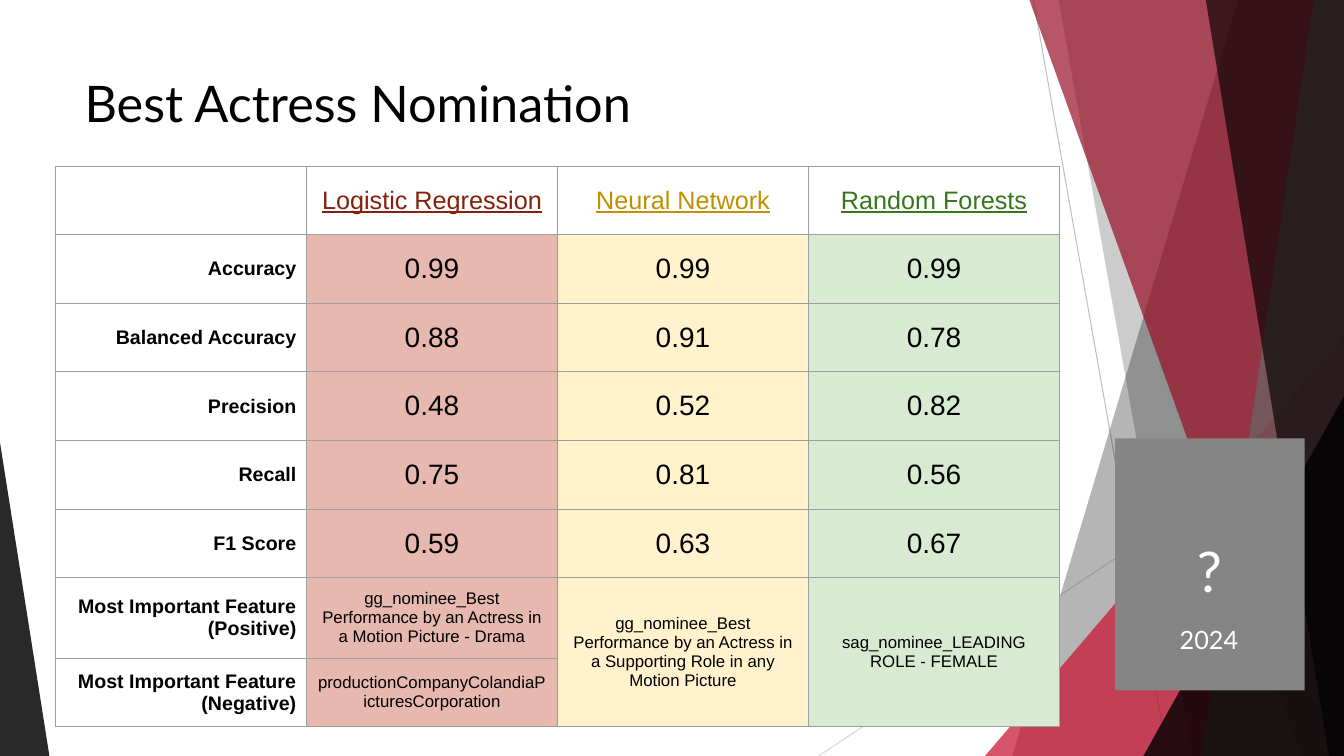
from lxml.etree import SubElement
from pptx import Presentation
from pptx.dml.color import RGBColor
from pptx.enum.shapes import MSO_CONNECTOR, MSO_SHAPE
from pptx.enum.text import MSO_ANCHOR, PP_ALIGN
from pptx.oxml.ns import qn
from pptx.util import Inches, Pt

WIDTH, HEIGHT = 13.33, 7.5
RAYS = [
    ((10.25, 0, 11.58, HEIGHT), "BFBFBF"),
    ((WIDTH, 4.03, 8.12, HEIGHT), "D8D8D8"),
]
BANDS_BEHIND = [(12.28, 10.04, "000000", 29), (10.5, 11.83, "000000", 20)]
BANDS_FRONT = [
    (10.21, 12.91, "960B22", 69),
    (13.03, 11.92, "666666", 69),
    (11.96, 13.18, "000000", 64),
]
MODELS = [
    ("Logistic Regression", "85200C", "E6B8AF"),
    ("Neural Network", "BF9000", "FFF2CC"),
    ("Random Forests", "38761D", "D9EAD3"),
]
SCORES = [
    ("Accuracy", "0.99", "0.99", "0.99"),
    ("Balanced Accuracy", "0.88", "0.91", "0.78"),
    ("Precision", "0.48", "0.52", "0.82"),
    ("Recall", "0.75", "0.81", "0.56"),
    ("F1 Score", "0.59", "0.63", "0.67"),
]
FEATURES = [
    ("Most Important Feature (Positive)",
     "gg_nominee_Best Performance by an Actress in a Motion Picture - Drama",
     "gg_nominee_Best Performance by an Actress in a Supporting Role in any Motion Picture",
     "sag_nominee_LEADING ROLE - FEMALE"),
    ("Most Important Feature\n(Negative)",
     "productionCompanyColandiaPicturesCorporation"),
]


def color(value):
    return RGBColor.from_string(value)


def paint(shape, fill, opacity=100):
    shape.shadow.inherit = False
    shape.line.fill.background()
    shape.fill.solid()
    shape.fill.fore_color.rgb = color(fill)
    if opacity < 100:
        choice = shape.fill._xPr.find(qn("a:solidFill"))[0]
        SubElement(choice, qn("a:alpha"), val=str(opacity * 1000))


def write(frame, text, alignment, font_name, font_color, **formats):
    frame.word_wrap = True
    frame.text = text
    for paragraph in frame.paragraphs:
        paragraph.alignment = alignment
        paragraph.font.color.rgb = color(font_color)
        for name, value in {"name": font_name, **formats}.items():
            setattr(paragraph.font, name, value)


def add_text(slide, box, text, size, font_color, alignment, inset):
    frame = slide.shapes.add_textbox(*map(Inches, box)).text_frame
    frame.margin_top = frame.margin_bottom = Inches(inset)
    frame.vertical_anchor = MSO_ANCHOR.TOP
    write(frame, text, alignment, "Lato", font_color, size=Pt(size))


def add_ray(slide, ends, line_color):
    ray = slide.shapes.add_connector(MSO_CONNECTOR.STRAIGHT, *map(Inches, ends))
    ray.line.color.rgb = color(line_color)
    ray.line.width = Pt(0.75)
    SubElement(ray._element.spPr, qn("a:effectLst"))


def add_band(slide, top_x, bottom_x, fill, opacity):
    builder = slide.shapes.build_freeform(Inches(top_x), 0)
    corners = [(WIDTH, 0), (WIDTH, HEIGHT), (bottom_x, HEIGHT)]
    builder.add_line_segments([(Inches(x), Inches(y)) for x, y in corners])
    paint(builder.convert_to_shape(), fill, opacity)


def add_corner(slide, left, width, height, apex, fill, opacity):
    box = map(Inches, (left, HEIGHT - height, width, height))
    corner = slide.shapes.add_shape(MSO_SHAPE.ISOSCELES_TRIANGLE, *box)
    corner.adjustments[0] = apex
    paint(corner, fill, opacity)


def add_backdrop(slide):
    for ends, line_color in RAYS:
        add_ray(slide, ends, line_color)
    for band in BANDS_BEHIND:
        add_band(slide, *band)
    add_corner(slide, 9.77, 3.56, 4.17, 1, "C8102E", 71)
    for band in BANDS_FRONT:
        add_band(slide, *band)
    add_corner(slide, 11.34, 1.99, 3.57, 1, "000000", 80)
    add_corner(slide, 0, 0.49, 3.11, 0, "000000", 84)


def style_cell(cell, fill=None):
    properties = cell._tc.get_or_add_tcPr()
    for side in ("a:lnL", "a:lnR", "a:lnT", "a:lnB"):
        border = SubElement(properties, qn(side), w=str(Pt(0.75)))
        solid = SubElement(border, qn("a:solidFill"))
        SubElement(solid, qn("a:srgbClr"), val="9E9E9E")
    if fill:
        cell.fill.solid()
        cell.fill.fore_color.rgb = color(fill)
    else:
        cell.fill.background()
    cell.vertical_anchor = MSO_ANCHOR.MIDDLE
    for side in ("left", "right", "top", "bottom"):
        setattr(cell, f"margin_{side}", Inches(0.1))


def fill_row(table, row, texts, size):
    for column, text in enumerate(texts):
        label = column == 0
        write(table.cell(row, column).text_frame, text,
              PP_ALIGN.RIGHT if label else PP_ALIGN.CENTER, "Arial", "000000",
              size=Pt(14 if label else size), bold=label)


def add_results(slide, left, top, column_width, row_height):
    rows, columns = 1 + len(SCORES) + len(FEATURES), 1 + len(MODELS)
    table = slide.shapes.add_table(
        rows, columns, Inches(left), Inches(top),
        Inches(column_width * columns), Inches(row_height * rows)).table
    table.first_row = table.horz_banding = False
    for row in range(rows):
        table.rows[row].height = Inches(row_height)
        for column in range(columns):
            tint = MODELS[column - 1][2] if column else None
            style_cell(table.cell(row, column), "FFFFFF" if column and not row else tint)
    for column in range(columns):
        table.columns[column].width = Inches(column_width)
    for column, (model, font_color, _) in enumerate(MODELS, 1):
        write(table.cell(0, column).text_frame, model, PP_ALIGN.CENTER, "Arial",
              font_color, size=Pt(18), underline=True, bold=False)
    for row, texts in enumerate(SCORES, 1):
        fill_row(table, row, texts, 20)
    for row, texts in enumerate(FEATURES, 1 + len(SCORES)):
        fill_row(table, row, texts, 12)
    for column in (2, 3):
        table.cell(rows - 2, column).merge(table.cell(rows - 1, column))


def add_year_card(slide, left, top, width, height):
    card = slide.shapes.add_shape(
        MSO_SHAPE.RECTANGLE, *map(Inches, (left, top, width, height)))
    paint(card, "858585")
    add_text(slide, (left + 0.27, top + 0.87, 1.33, 0.88), "?", 40, "FFFFFF",
             PP_ALIGN.CENTER, 0.1)
    add_text(slide, (left + 0.03, top + 1.74, 1.8, 0.5), "2024", 18, "FFFFFF",
             PP_ALIGN.CENTER, 0.1)


def main():
    presentation = Presentation()
    presentation.slide_width = Inches(WIDTH)
    presentation.slide_height = Inches(HEIGHT)
    slide = presentation.slides.add_slide(presentation.slide_layouts[6])
    add_backdrop(slide)
    add_text(slide, (0.74, 0.67, 9.4, 1.44), "Best Actress Nomination", 36,
             "000000", PP_ALIGN.LEFT, 0.05)
    add_results(slide, 0.55, 1.65, 2.49, 0.68)
    add_year_card(slide, 11.06, 4.35, 1.88, 2.5)
    presentation.save("out.pptx")


if __name__ == "__main__":
    main()
